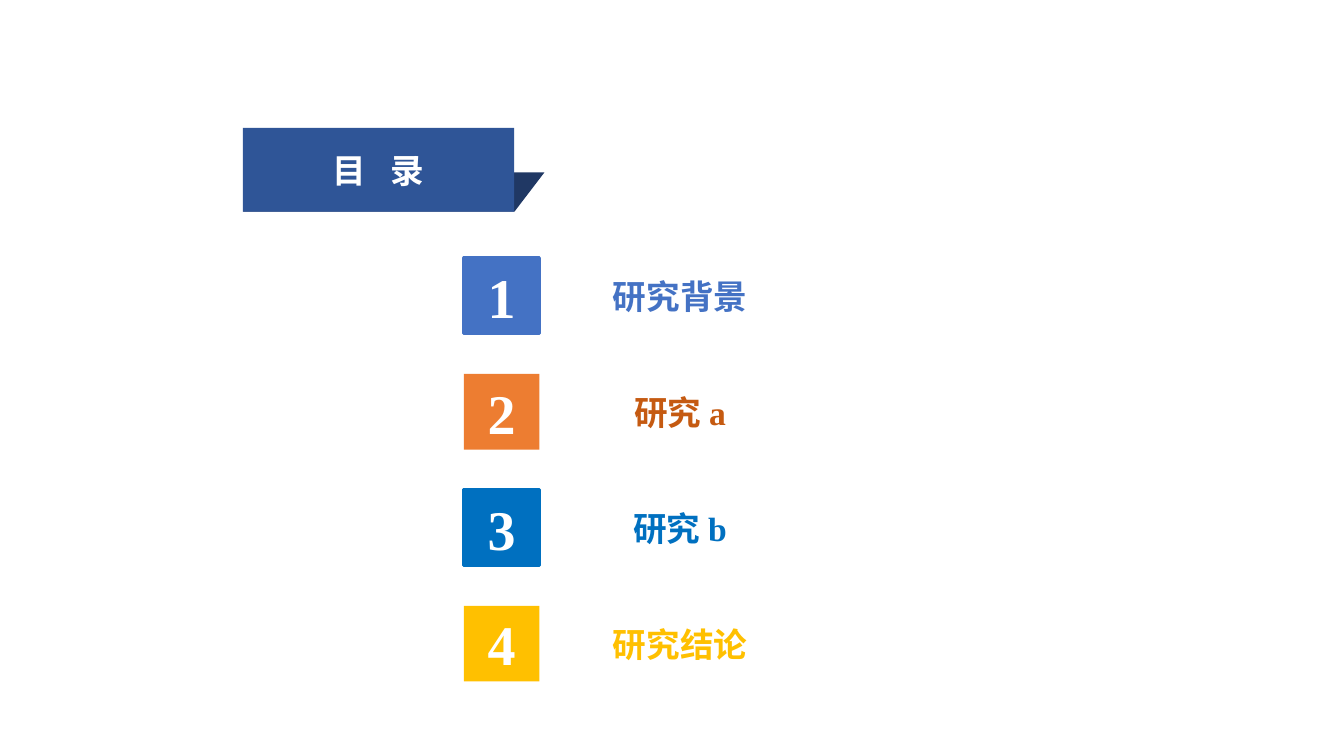
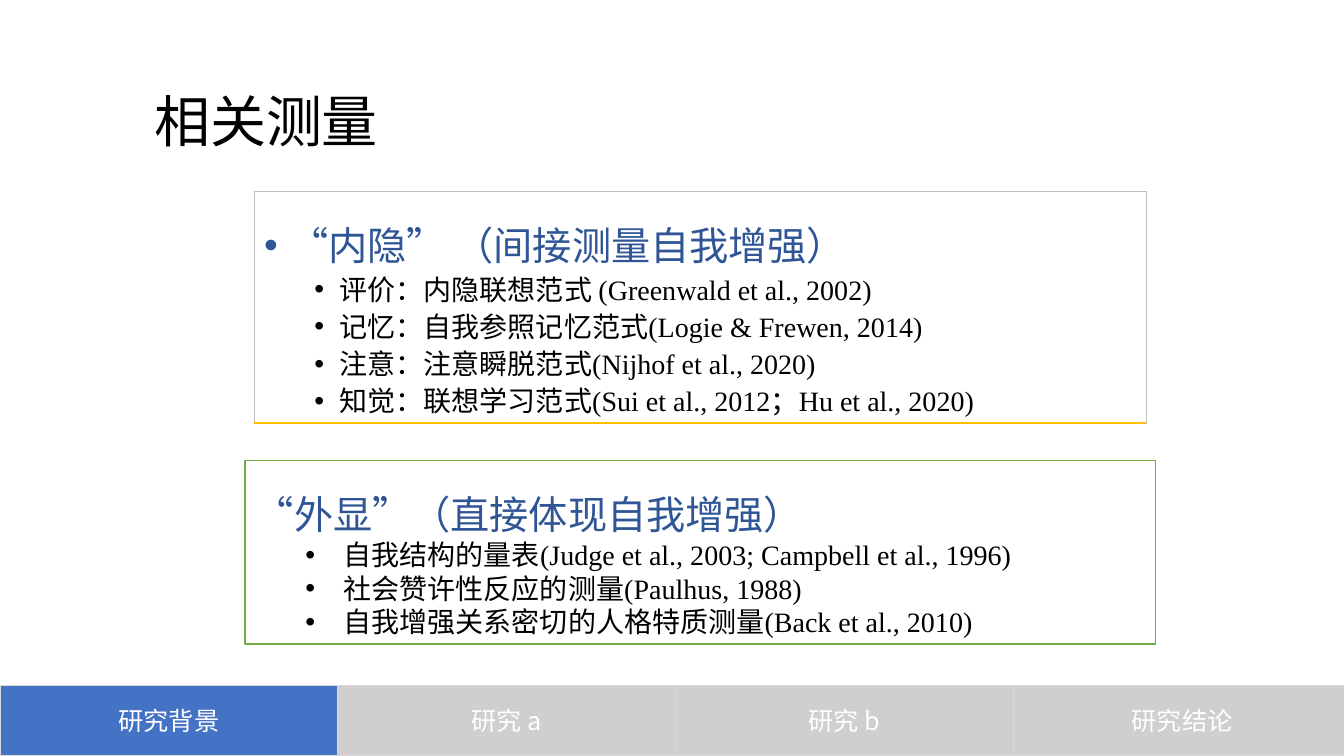
from lxml.etree import SubElement
from pptx import Presentation
from pptx.dml.color import RGBColor
from pptx.enum.shapes import MSO_CONNECTOR, MSO_SHAPE as SHAPE
from pptx.enum.text import MSO_ANCHOR as ANCHOR, PP_ALIGN as ALIGN
from pptx.oxml.ns import qn
from pptx.util import Inches, Pt

# Content
SECTIONS = [  # label, tile colour, label colour, tile outline width
    ("研究背景", "4472C4", "4472C4", 2.25),
    ("研究 a", "ED7D31", "C55A11", 0),
    ("研究 b", "0070C0", "0070C0", 2.25),
    ("研究结论", "FFC000", "FFC000", 0),
]
CURRENT_SECTION = 0
PANELS = [
    {"at": (2.52, 1.9, 8.85, 2.3), "line": ("BFBFBF", 0.75),
     "heading": "“内隐” （间接测量自我增强）", "heading_indent": 0.25,
     "indent": (0.75, 0.25), "pitch": 21.6, "before": 5,
     "items": ["评价：内隐联想范式 (Greenwald et al., 2002)",
               "记忆：自我参照记忆范式(Logie & Frewen, 2014)",
               "注意：注意瞬脱范式(Nijhof et al., 2020)",
               "知觉：联想学习范式(Sui et al., 2012；Hu et al., 2020)"]},
    {"at": (2.43, 4.57, 9.03, 1.82), "line": ("70AD47", 1),
     "heading": "“外显”（直接体现自我增强）", "heading_indent": 0,
     "indent": (0.88, 0.38), "pitch": 24, "before": 0,
     "items": ["自我结构的量表(Judge et al., 2003; Campbell et al., 1996)",
               "社会赞许性反应的测量(Paulhus, 1988)",
               "自我增强关系密切的人格特质测量(Back et al., 2010)"]},
]

# Shared style
SERIF, SANS = "Times New Roman", "Noto Sans CJK SC"
WHITE, BLACK, NAVY, DARK_NAVY = "FFFFFF", "000000", "2F5597", "203864"
GREY, PALE_GREY, GOLD = "D0CECE", "D9D9D9", "FFC000"


def color(value):
    return RGBColor.from_string(value)


def add_box(slide, at, fill, line=None, kind=SHAPE.RECTANGLE):
    box = slide.shapes.add_shape(kind, *map(Inches, at))
    box.shadow.inherit = False
    box.fill.solid()
    box.fill.fore_color.rgb = color(fill)
    if line:
        box.line.color.rgb = color(line[0])
        box.line.width = Pt(line[1])
    else:
        box.line.fill.background()
    box.text_frame.word_wrap = True
    return box


def add_text(para, text, size, ink, font=SERIF, bold=False):
    span = para.add_run()
    span.text = text
    span.font.size = Pt(size)
    span.font.bold = bold
    span.font.name = font
    span.font.color.rgb = color(ink)
    props = span.font._element
    props.set("lang", "zh-CN")
    SubElement(props, qn("a:ea")).set("typeface", SANS)
    return span


def center_text(box, text, size, ink, **style):
    box.text_frame.vertical_anchor = ANCHOR.MIDDLE
    para = box.text_frame.paragraphs[0]
    para.alignment = ALIGN.CENTER
    return add_text(para, text, size, ink, **style)


def add_label(slide, at):
    box = slide.shapes.add_textbox(*map(Inches, at))
    box.text_frame.word_wrap = True
    return box


def add_bullet(para, left, hanging):
    props = para._p.get_or_add_pPr()
    props.set("marL", str(Inches(left)))
    props.set("indent", str(-Inches(hanging)))
    SubElement(props, qn("a:buFont")).set("typeface", "Arial")
    SubElement(props, qn("a:buChar")).set("char", "•")


def build_contents(slide):
    # Ribbon title
    fold = add_box(slide, (2.41, 1.71, 2.99, 0.39), DARK_NAVY, kind=SHAPE.PARALLELOGRAM)
    fold.adjustments[0] = 0.763
    ribbon = add_box(slide, (2.41, 1.27, 2.69, 0.83), NAVY)
    center_text(ribbon, "目", 24, WHITE, bold=True)
    para = ribbon.text_frame.paragraphs[0]
    gap = add_text(para, " ", 24, WHITE, bold=True)
    gap.font._element.set("spc", "1200")
    add_text(para, "录", 24, WHITE, bold=True)

    # Numbered sections
    for index, (label, fill, ink, outline) in enumerate(SECTIONS):
        top = 2.56 + 1.15 * index
        tile = add_box(slide, (4.6, top, 0.75, 0.75), fill, (fill, outline) if outline else None)
        center_text(tile, str(index + 1), 40, WHITE, bold=True)
        center_text(add_label(slide, (5.33, top, 2.83, 0.75)), label, 24, ink, bold=True)


def add_panel(slide, panel):
    box = add_box(slide, panel["at"], WHITE, panel["line"])
    frame = box.text_frame
    frame.vertical_anchor = ANCHOR.TOP
    heading = frame.paragraphs[0]
    heading.alignment = ALIGN.LEFT
    heading.line_spacing = Pt(51.5)
    if panel["heading_indent"]:
        add_bullet(heading, panel["heading_indent"], panel["heading_indent"])
    add_text(heading, panel["heading"], 28, NAVY)
    for item in panel["items"]:
        para = frame.add_paragraph()
        para.alignment = ALIGN.LEFT
        para.line_spacing = Pt(panel["pitch"])
        para.space_before = Pt(panel["before"])
        add_bullet(para, *panel["indent"])
        add_text(para, item, 20, BLACK)


def build_measures(slide):
    title = add_label(slide, (1.43, 0.81, 2.49, 0.77))
    add_text(title.text_frame.paragraphs[0], "相关测量", 40, BLACK, font=SANS)

    for panel in PANELS:
        add_panel(slide, panel)

    # Gold rule under the first panel
    left, top, width, height = PANELS[0]["at"]
    ends = (left, top + height, left + width, top + height)
    rule = slide.shapes.add_connector(MSO_CONNECTOR.STRAIGHT, *map(Inches, ends))
    rule.line.color.rgb = color(GOLD)
    rule.line.width = Pt(1.5)
    SubElement(rule._element.spPr, qn("a:effectLst"))

    # Navigation band
    step = 3.35
    for index, (label, *_) in enumerate(SECTIONS):
        fill = "4472C4" if index == CURRENT_SECTION else GREY
        tab = add_box(slide, (step * index, 6.8, step, 0.7), fill, (PALE_GREY, 1))
        center_text(tab, label, 18, WHITE, font=SANS)


def main():
    deck = Presentation()
    deck.slide_width, deck.slide_height = Inches(13.33), Inches(7.5)
    for build in (build_contents, build_measures):
        build(deck.slides.add_slide(deck.slide_layouts[6]))
    deck.save("out.pptx")


if __name__ == "__main__":
    main()
